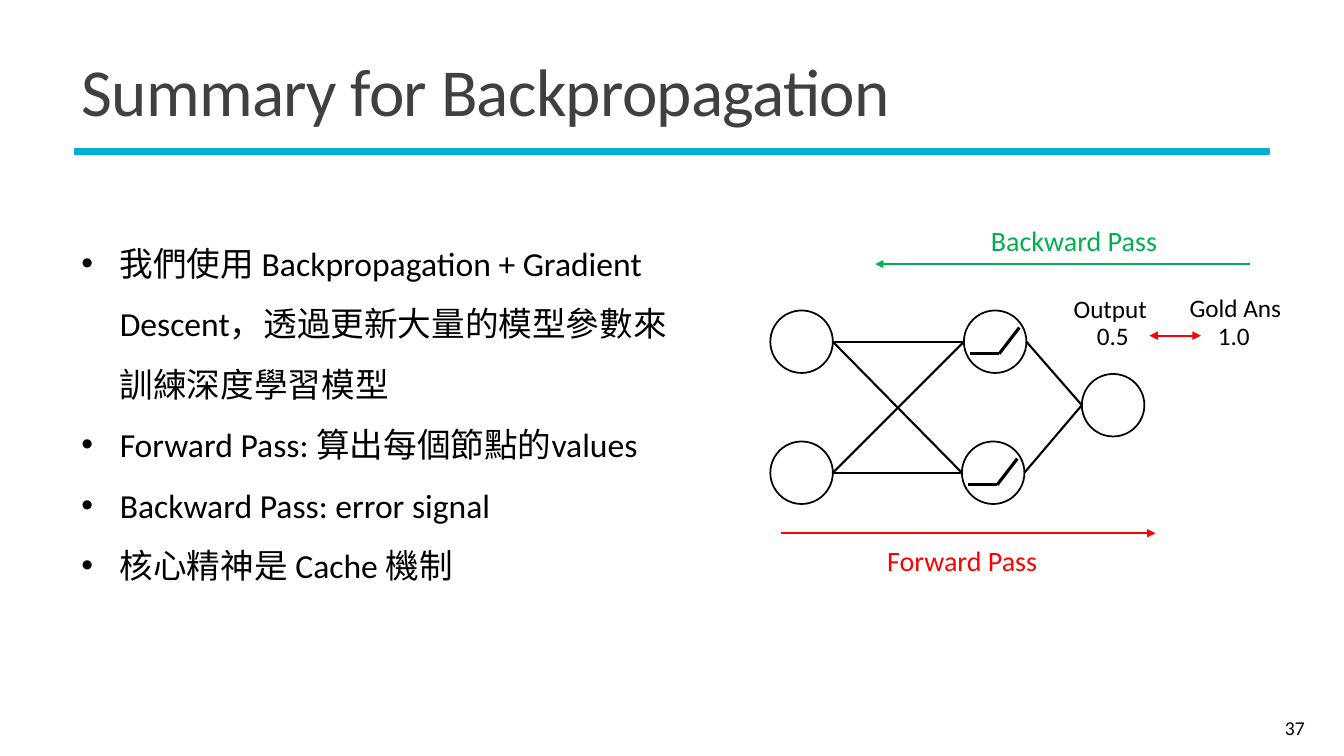
import pptx
import pptx.util
import pptx.dml.color
import pptx.enum.shapes
import pptx.enum.text
import pptx.oxml
import pptx.oxml.ns

Inches = pptx.util.Inches
Pt = pptx.util.Pt
ALIGN = pptx.enum.text.PP_ALIGN
ANCHOR = pptx.enum.text.MSO_ANCHOR
SHAPE = pptx.enum.shapes.MSO_SHAPE

BLACK, RED, GREEN, BLUE = "000000", "FF0000", "00B050", "05AED6"

TITLE = "Summary for Backpropagation"
POINTS = [
    "我們使用 Backpropagation + Gradient Descent，透過更新大量的模型參數來訓練深度學習模型",
    "Forward Pass: 算出每個節點的values",
    "Backward Pass: error signal",
    "核心精神是 Cache 機制",
]
LABELS = [
    ("Output", (10.55, 2.86, 1.04, 0.4), 18, BLACK),
    ("Gold Ans", (11.7, 2.85, 1.17, 0.4), 18, BLACK),
    ("0.5", (10.78, 3.13, 0.53, 0.4), 18, BLACK),
    ("1.0", (11.98, 3.13, 0.53, 0.4), 18, BLACK),
    ("Forward Pass", (8.7, 5.34, 1.93, 0.44), 20, RED),
    ("Backward Pass", (9.73, 2.17, 1.93, 0.44), 20, GREEN),
]
ARROWS = [
    ((11.4, 3.33), (11.91, 3.33), RED, ("headEnd", "tailEnd")),
    ((7.75, 5.29), (11.46, 5.29), RED, ("tailEnd",)),
    ((12.4, 2.62), (8.68, 2.62), GREEN, ("tailEnd",)),
]
SIZE = 0.62
INPUTS = [(7.64, 3.08), (7.64, 4.38)]
HIDDEN = [(9.56, 3.08), (9.54, 4.38)]
OUTPUT = (10.73, 3.71)
RELU = [(0.06, 0.43), (0.35, 0.43), (0.55, 0.17)]

deck = pptx.Presentation()
deck.slide_width, deck.slide_height = Inches(13.33), Inches(7.5)
slide = deck.slides.add_slide(deck.slide_layouts[6])


def paint(code):
    return pptx.dml.color.RGBColor.from_string(code)


def add_node(parent, tag, **attrs):
    node = pptx.oxml.parse_xml(f'<a:{tag} {pptx.oxml.ns.nsdecls("a")}/>')
    for key, value in attrs.items():
        node.set(key, value)
    parent.append(node)


def add_text(text, box, size=18, color=BLACK, align=ALIGN.LEFT, anchor=ANCHOR.TOP,
             wrap=True, spacing=None, bullet=False, track=None):
    frame = slide.shapes.add_textbox(*map(Inches, box)).text_frame
    frame.word_wrap = wrap
    frame.vertical_anchor = anchor
    lines = [text] if isinstance(text, str) else text
    for i, line in enumerate(lines):
        para = frame.paragraphs[0] if i == 0 else frame.add_paragraph()
        para.alignment = align
        if spacing:
            para.line_spacing = spacing
        if bullet:
            props = para._p.get_or_add_pPr()
            props.set("marL", str(Inches(0.38)))
            props.set("indent", str(Inches(-0.38)))
            add_node(props, "buFont", typeface="Arial")
            add_node(props, "buChar", char="•")
        run = para.add_run()
        run.text = line
        run.font.name = "Calibri"
        run.font.size = Pt(size)
        run.font.color.rgb = paint(color)
        if track:
            run._r.get_or_add_rPr().set("spc", str(track))


def add_line(start, end, color=BLACK, width=1.5, ends=()):
    line = slide.shapes.add_connector(
        pptx.enum.shapes.MSO_CONNECTOR.STRAIGHT, *map(Inches, start + end))
    line.line.color.rgb = paint(color)
    line.line.width = Pt(width)
    for tag in ends:
        add_node(line.line._get_or_add_ln(), tag, type="triangle")
    add_node(line._element.spPr, "effectLst")


def add_form(kind, box, color, fill=None):
    form = slide.shapes.add_shape(kind, *map(Inches, box))
    form.shadow.inherit = False
    form.line.color.rgb = paint(color)
    form.line.width = Pt(1.25)
    if fill:
        form.fill.solid()
        form.fill.fore_color.rgb = paint(fill)
    else:
        form.fill.background()


def left(node):
    return node[0], node[1] + SIZE / 2


def right(node):
    return node[0] + SIZE, node[1] + SIZE / 2


add_form(SHAPE.RECTANGLE, (0.74, 1.48, 11.85, 0.05), BLUE, BLUE)
add_text(TITLE, (0.71, 0.39, 11.94, 1.13), size=48, color="404040",
         anchor=ANCHOR.MIDDLE, spacing=0.85, track=-50)
add_text("37", (11.61, 7.02, 1.43, 0.4), size=14, align=ALIGN.RIGHT, anchor=ANCHOR.MIDDLE)
add_text(POINTS, (0.71, 2.16, 6.14, 3.67), size=24, spacing=1.5, bullet=True)

for node in INPUTS + HIDDEN + [OUTPUT]:
    add_form(SHAPE.OVAL, node + (SIZE, SIZE), BLACK)
for node in HIDDEN:
    for source in INPUTS:
        add_line(right(source), left(node))
    add_line(right(node), left(OUTPUT))
    bend = [(node[0] + x, node[1] + y) for x, y in RELU]
    for start, end in zip(bend, bend[1:]):
        add_line(start, end, width=2.25)

for start, end, color, ends in ARROWS:
    add_line(start, end, color, ends=ends)
for text, box, size, color in LABELS:
    add_text(text, box, size=size, color=color, wrap=False)

deck.save("out.pptx")
